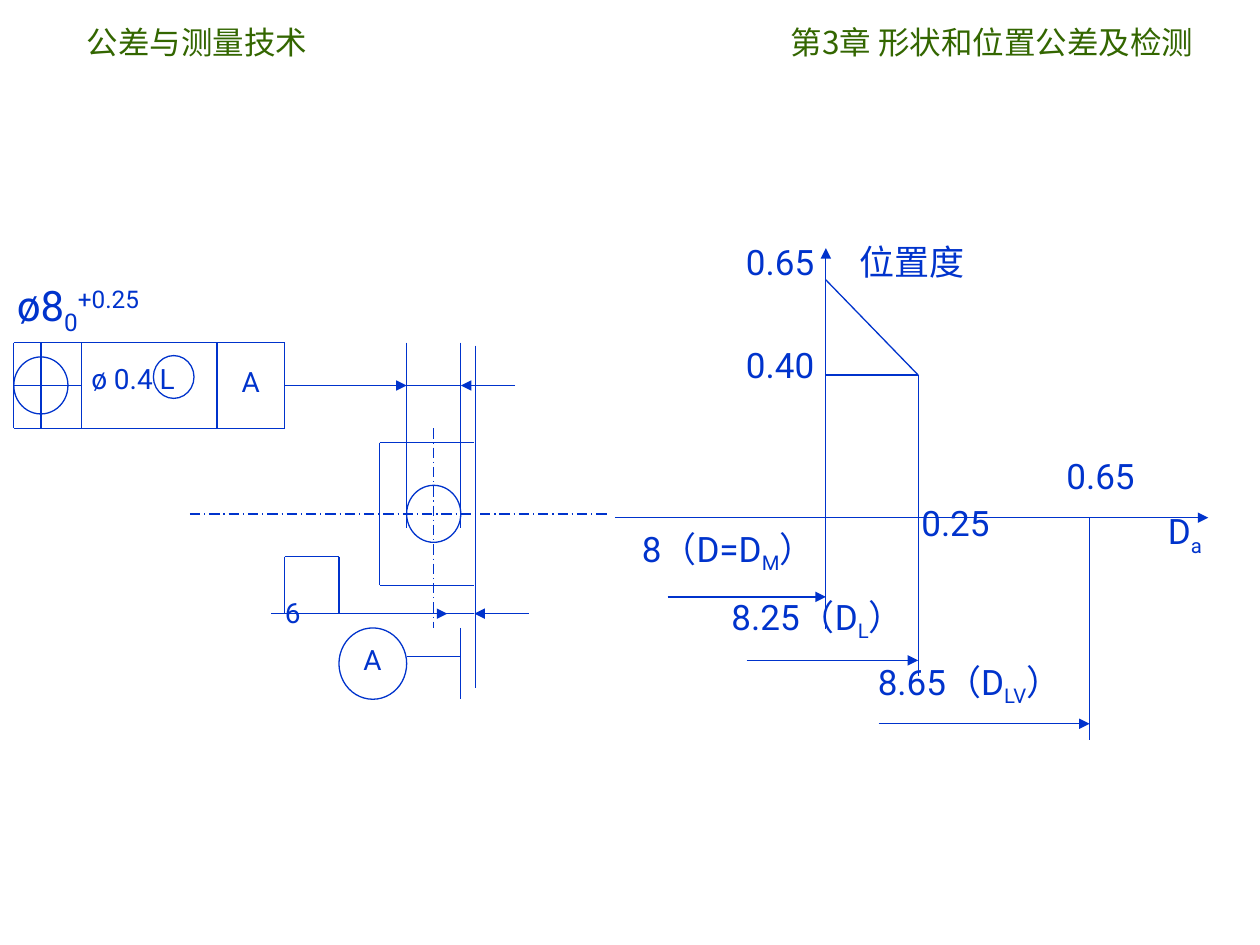
from lxml import etree
from pptx import Presentation
from pptx import util as u
from pptx.dml import color as colors
from pptx.enum import dml, shapes, text
from pptx.oxml import ns

BLUE = "0033CC"
GREEN = "336600"
SUB, SUPER = -25000, 30000


def rgb(value):
    return colors.RGBColor.from_string(value)


class Grid:
    """Draws in columns and rows counted from the corner of a box."""

    def __init__(self, slide, box, columns, rows):
        self.slide = slide
        self.left, self.top, width, height = box
        self.column, self.row = width / columns, height / rows

    def point(self, x, y):
        return (u.Inches(self.left + x * self.column),
                u.Inches(self.top + y * self.row))

    def size(self, width, height):
        return u.Inches(width * self.column), u.Inches(height * self.row)

    def line(self, start, end, arrow=False, dashed=False):
        connector = self.slide.shapes.add_connector(
            shapes.MSO_CONNECTOR.STRAIGHT, *self.point(*start), *self.point(*end))
        connector.line.color.rgb = rgb(BLUE)
        connector.line.width = u.Pt(0.75)
        if dashed:
            connector.line.dash_style = dml.MSO_LINE.LONG_DASH_DOT
        properties = connector._element.spPr
        if arrow:
            outline = properties.find(ns.qn("a:ln"))
            etree.SubElement(outline, ns.qn("a:tailEnd"), type="triangle")
        etree.SubElement(properties, ns.qn("a:effectLst"))

    def circle(self, x, y, width, height):
        shape = self.slide.shapes.add_shape(
            shapes.MSO_SHAPE.OVAL, *self.point(x, y), *self.size(width, height))
        shape.shadow.inherit = False
        shape.fill.background()
        shape.line.color.rgb = rgb(BLUE)
        shape.line.width = u.Pt(0.75)

    def label(self, x, y, width, height, runs, size, color=BLUE, font="Roboto",
              align=text.PP_ALIGN.LEFT, wrap=False):
        box = self.slide.shapes.add_textbox(
            *self.point(x, y), *self.size(width, height))
        box.text_frame.word_wrap = wrap
        paragraph = box.text_frame.paragraphs[0]
        paragraph.alignment = align
        for words, baseline in runs:
            run = paragraph.add_run()
            run.text = words
            run.font.size = u.Pt(size)
            run.font.name = font
            run.font.color.rgb = rgb(color)
            if baseline:
                run._r.get_or_add_rPr().set("baseline", str(baseline))


def add_header(slide, box):
    grid = Grid(slide, box, 100, 1)
    for x, width, words, align in (
            (0, 23.8, "公差与测量技术", text.PP_ALIGN.LEFT),
            (58.8, 41.2, "第3章 形状和位置公差及检测", text.PP_ALIGN.RIGHT)):
        grid.label(x, 0, width, 1, [(words, 0)], 18, GREEN,
                   "Noto Sans CJK SC", align, wrap=True)


def add_part_drawing(slide, box):
    grid = Grid(slide, box, 44, 25)

    # Centre lines
    grid.line((13, 12), (44, 12), dashed=True)
    grid.line((31, 6), (31, 20), dashed=True)

    # Part outline, hole and datum edge
    for y in (7, 17):
        grid.line((27, y), (34, y))
    grid.line((27, 7), (27, 17))
    grid.line((34.1, 0.2), (34.1, 24.2))
    grid.circle(29, 10, 4, 4)

    # Hole diameter dimension
    for x in (29, 33):
        grid.line((x, 0), (x, 13))
    grid.line((29, 3), (33, 3))
    grid.line((37, 3), (33, 3), arrow=True)
    grid.line((20, 3), (29, 3), arrow=True)

    # Datum A
    grid.line((33, 20), (33, 25))
    grid.line((29, 22), (33, 22))
    grid.circle(24, 20, 5, 5)

    # Boxed distance to the datum
    grid.line((31, 19), (34, 19))
    grid.line((38, 19), (34, 19), arrow=True)
    grid.line((19, 19), (32, 19), arrow=True)
    for x in (20, 24):
        grid.line((x, 15), (x, 19))
    grid.line((20, 15), (24, 15))

    # Tolerance frame
    for y in (0, 6):
        grid.line((0, y), (20, y))
    for x in (0, 5, 15, 20):
        grid.line((x, 0), (x, 6))

    # Position symbol and least material mark
    grid.line((0, 3), (5, 3))
    grid.line((2, 0), (2, 6))
    grid.circle(0, 1, 4, 4)
    grid.circle(10.3, 0.9, 3, 3)

    # Labels
    grid.label(-0.7, -4.9, 11.1, 5,
               [("ø8", 0), ("0", SUB), ("+0.25", SUPER)], 24)
    for x, y, width, words in ((4.8, 0.9, 8.2, "ø 0.4 L"),
                               (15.9, 1.1, 3.2, "A"),
                               (24.9, 20.6, 3.2, "A"),
                               (19.1, 17.3, 3.4, "6")):
        grid.label(x, y, width, 3.3, [(words, 0)], 16)


def add_tolerance_diagram(slide, box):
    grid = Grid(slide, box, 45, 31)
    axis = 17

    # Tolerance zone
    grid.line((16, 8), (23, 8))
    grid.line((23, 8), (23, axis))
    grid.line((23, 8), (16, 2))

    # Axes
    grid.line((16, 24), (16, 0), arrow=True)
    grid.line((0, axis), (45, axis), arrow=True)

    # Size limits
    for x, bottom in ((23, 27), (36, 31)):
        grid.line((x, axis), (x, bottom))
    for start, end, y in ((4, 16, 22), (10, 23, 26), (20, 36, 30)):
        grid.line((start, y), (end, y), arrow=True)
    for x, y, width, words, index in ((1.1, 17.2, 17.5, "8（D=D", "M"),
                                      (7.9, 21.5, 17.1, "8.25（D", "L"),
                                      (19, 25.6, 18.1, "8.65（D", "LV")):
        grid.label(x, y, width, 3.8, [(words, 0), (index, SUB), ("）", 0)], 20)

    # Axis names and values
    grid.label(41, 16.1, 4.7, 3.8, [("D", 0), ("a", SUB)], 20)
    for x, y, width, words in ((17.6, -0.9, 10.4, "位置度"),
                               (9, -0.9, 7.2, "0.65"),
                               (9, 5.6, 7.2, "0.40"),
                               (22.3, 15.6, 7.2, "0.25"),
                               (33.3, 12.6, 7.2, "0.65")):
        grid.label(x, y, width, 3.5, [(words, 0)], 20)


def main():
    presentation = Presentation()
    presentation.slide_width = u.Inches(10)
    presentation.slide_height = u.Inches(7.5)
    slide = presentation.slides.add_slide(presentation.slide_layouts[6])
    add_header(slide, (0.59, 0.13, 8.98, 0.4))
    add_part_drawing(slide, (0.11, 2.72, 4.73, 2.83))
    add_tolerance_diagram(slide, (4.88, 1.97, 4.71, 3.9))
    presentation.save("out.pptx")


if __name__ == "__main__":
    main()
